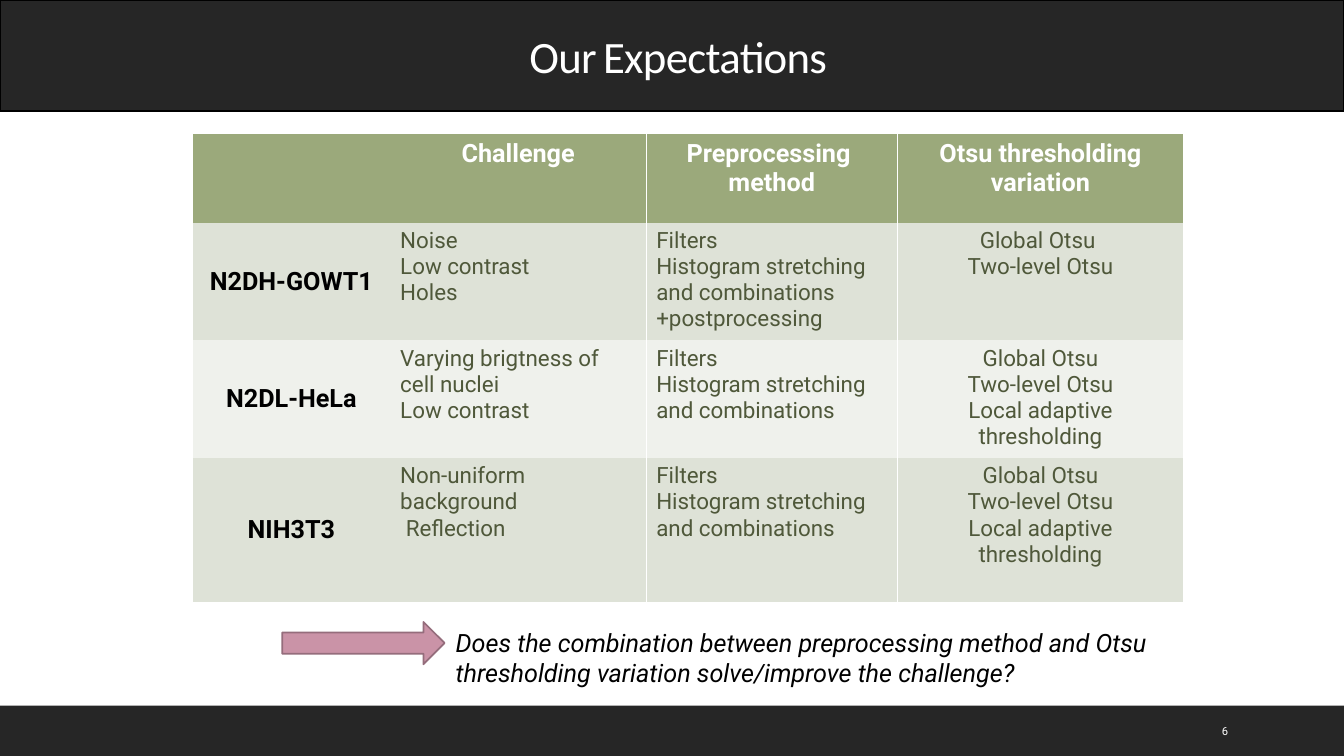
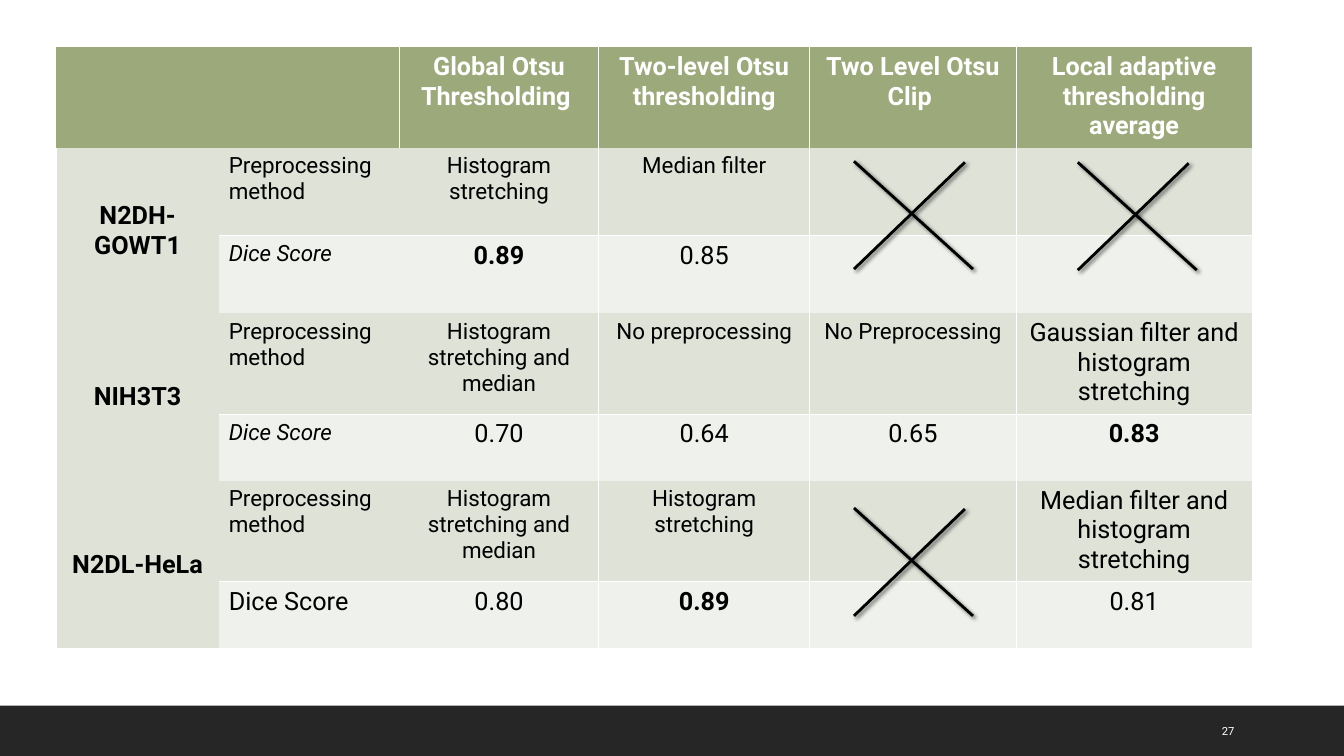
from lxml import etree
from pptx import Presentation
from pptx.dml.color import RGBColor
from pptx.enum.shapes import MSO_CONNECTOR, MSO_SHAPE
from pptx.enum.text import MSO_ANCHOR, MSO_AUTO_SIZE, PP_ALIGN
from pptx.oxml import parse_xml
from pptx.oxml.ns import nsdecls, qn
from pptx.util import Inches, Pt

LEFT, CENTER = PP_ALIGN.LEFT, PP_ALIGN.CENTER
TOP, MIDDLE = MSO_ANCHOR.TOP, MSO_ANCHOR.MIDDLE
RECTANGLE, RIGHT_ARROW = MSO_SHAPE.RECTANGLE, MSO_SHAPE.RIGHT_ARROW
WIDTH, HEIGHT = 13.33, 7.5
FONT, TITLE_FONT = "Roboto", "Calibri"
PLAIN_TABLE_STYLE = "{2D5ABB26-0587-4C30-8999-92F81FD0307C}"
COLORS = {
    "band": "262626", "white": "FFFFFF", "black": "000000",
    "header": "9BA97B", "dark_row": "DEE2D7", "light_row": "EFF1EC",
    "olive": "4F583A", "arrow": "CA93A7", "arrow_line": "956D7C",
}

# Content
QUESTION = ("Does the combination between preprocessing method and Otsu "
            "thresholding variation solve/improve the challenge?")
EXPECTATIONS = {
    "origin": (1.91, 1.33),
    "columns": [1.96, 2.54, 2.49, 2.84],
    "rows": [0.88, 1.16, 1.17, 1.43],
    "cells": [
        ["", "Challenge", "Preprocessing \nmethod", "Otsu thresholding variation"],
        ["N2DH-GOWT1", "Noise\nLow contrast\nHoles",
         "Filters\nHistogram stretching and combinations\n+postprocessing",
         "Global Otsu \nTwo-level Otsu"],
        ["N2DL-HeLa", "Varying brigtness of cell nuclei\nLow contrast",
         "Filters\nHistogram stretching and combinations",
         "Global Otsu\nTwo-level Otsu\nLocal adaptive thresholding"],
        ["NIH3T3", "Non-uniform background\n Reflection",
         "Filters\nHistogram stretching and combinations",
         "Global Otsu\nTwo-level Otsu\nLocal adaptive thresholding"],
    ],
}
METHOD, SCORE = "Preprocessing method", "Dice Score"
RESULTS = {
    "origin": (0.56, 0.47),
    "columns": [1.61, 1.79, 1.98, 2.09, 2.05, 2.34],
    "rows": [0.97, 0.87, 0.77, 0.99, 0.66, 0.99, 0.66],
    "cells": [
        ["", "", "Global Otsu Thresholding ", "Two-level Otsu thresholding",
         "Two Level Otsu Clip ", "Local adaptive thresholding average"],
        ["N2DH-GOWT1", METHOD, "Histogram stretching", "Median filter", "", ""],
        ["", SCORE, "0.89", "0.85", "", ""],
        ["NIH3T3", METHOD, "Histogram stretching and median", "No preprocessing",
         "No Preprocessing", "Gaussian filter and histogram stretching"],
        ["", SCORE, "0.70", "0.64", "0.65", "0.83"],
        ["N2DL-HeLa", METHOD, "Histogram stretching and median",
         "Histogram stretching", "", "Median filter and histogram stretching"],
        ["", SCORE, "0.80", "0.89", "", "0.81"],
    ],
}
CROSSES = [(8.47, 1.6), (8.47, 5.04), (10.69, 1.61)]


def rgb(name):
    return RGBColor.from_string(COLORS[name])


def format_run(run, size=16, color="black", bold=False, italic=False,
               font=FONT, spacing=0):
    run.font.size, run.font.name = Pt(size), font
    run.font.bold, run.font.italic = bold, italic
    run.font.color.rgb = rgb(color)
    if spacing:
        run.font._element.set("spc", str(int(spacing * 100)))


def write(frame, text, align=LEFT, **style):
    """Fill a text frame, one paragraph for each line of text."""
    for index, line in enumerate(text.split("\n")):
        paragraph = frame.add_paragraph() if index else frame.paragraphs[0]
        paragraph.alignment = align
        run = paragraph.add_run()
        run.text = line
        format_run(run, **style)


def add_block(slide, box, fill, line=None, kind=RECTANGLE):
    shape = slide.shapes.add_shape(kind, *map(Inches, box))
    shape.shadow.inherit = False
    shape.fill.solid()
    shape.fill.fore_color.rgb = rgb(fill)
    if line:
        shape.line.color.rgb = rgb(line)
        shape.line.width = Pt(1.25)
    else:
        shape.line.fill.background()
    return shape


def add_text(slide, box, text, anchor=TOP, **style):
    frame = slide.shapes.add_textbox(*map(Inches, box)).text_frame
    frame.word_wrap = True
    frame.vertical_anchor = anchor
    write(frame, text, **style)


def add_title(slide, words):
    band = add_block(slide, (0, 0, WIDTH, 1.1), "band", "black")
    title = slide.shapes.title
    title.element.addprevious(band.element)
    title.left, title.top, title.width, title.height = map(
        Inches, (5.15, 0.23, 5.83, 0.64))
    frame = title.text_frame
    frame.auto_size, frame.vertical_anchor = MSO_AUTO_SIZE.NONE, TOP
    paragraph = frame.paragraphs[0]
    paragraph.alignment = LEFT
    for index, word in enumerate(words):
        if index:
            gap = paragraph.add_run()
            gap.text = " "
            format_run(gap, size=18)
        run = paragraph.add_run()
        run.text = word
        format_run(run, size=32, color="white", font=TITLE_FONT, spacing=-0.5)


def set_borders(cell, sides):
    """Draw white hairlines on the given sides, from the letters L, R, T, B."""
    properties = cell._tc.get_or_add_tcPr()
    for side in "LRTB":
        line = etree.SubElement(properties, qn(f"a:ln{side}"), w=str(Pt(1)))
        if side in sides:
            fill = etree.SubElement(line, qn("a:solidFill"))
            etree.SubElement(fill, qn("a:srgbClr"), val=COLORS["white"])
        else:
            etree.SubElement(line, qn("a:noFill"))


def add_grid(slide, data, describe):
    """Add a table; describe(row, column, text) gives fill, borders, anchor, style."""
    columns, rows = data["columns"], data["rows"]
    box = (*data["origin"], sum(columns), sum(rows))
    table = slide.shapes.add_table(len(rows), len(columns), *map(Inches, box)).table
    table._tbl.tblPr.find(qn("a:tableStyleId")).text = PLAIN_TABLE_STYLE
    for column, width in zip(table.columns, columns):
        column.width = Inches(width)
    for row, height in zip(table.rows, rows):
        row.height = Inches(height)
    for r, texts in enumerate(data["cells"]):
        for c, text in enumerate(texts):
            cell = table.cell(r, c)
            fill, borders, anchor, style = describe(r, c, text)
            set_borders(cell, borders)
            cell.fill.solid()
            cell.fill.fore_color.rgb = rgb(fill)
            cell.vertical_anchor = anchor
            if text:
                write(cell.text_frame, text, **style)
    return table


def row_fill(row):
    return "header" if row == 0 else "dark_row" if row % 2 else "light_row"


def describe_expectation(row, column, text):
    borders = "LR" if column > 1 else "R" if column else "L"
    style = {"align": LEFT if column in (1, 2) else CENTER, "color": "olive"}
    if row == 0:
        style = {"align": CENTER, "size": 18, "bold": True, "color": "white"}
    elif column == 0:
        style.update(size=18, bold=True, color="black")
    return row_fill(row), borders, MIDDLE if row and column == 0 else TOP, style


def describe_result(row, column, text):
    is_score = row > 0 and row % 2 == 0
    last_row, last_column = len(RESULTS["rows"]) - 1, len(RESULTS["columns"]) - 1
    borders = "R" if column > 1 or (row == 0 and column == 1) else ""
    if column > 2 or (row == 0 and column == 2):
        borders += "L"
    if row and column:
        borders += "T" if is_score else "B"
    style = {"align": LEFT if column == 1 else CENTER}
    if row == 0:
        style.update(size=18, bold=True, color="white")
    elif column == 0:
        return "dark_row", "L", MIDDLE, dict(style, size=18, bold=True)
    elif column == 1:
        plain = row == last_row
        style.update(size=18 if plain else 16, italic=is_score and not plain)
    elif is_score:
        best = max(RESULTS["cells"][row][2:])
        style.update(size=18, bold=text == best)
    elif column == last_column:
        style["size"] = 18
    return row_fill(row), borders, TOP, style


def add_cross(slide, left, top):
    group = slide.shapes.add_group_shape()
    strokes = [(left, top, left + 1.18, top + 1.07),
               (left + 1.1, top + 0.01, left, top + 1.07)]
    for ends in strokes:
        line = group.shapes.add_connector(MSO_CONNECTOR.STRAIGHT, *map(Inches, ends))
        line.line.color.rgb = rgb("black")
        line.line.width = Pt(2)
        line.element.spPr.append(parse_xml(
            f'<a:effectLst {nsdecls("a")}><a:outerShdw blurRad="{Pt(3)}" '
            f'dist="{Pt(2)}" dir="2700000"><a:srgbClr val="{COLORS["black"]}">'
            '<a:alpha val="60000"/></a:srgbClr></a:outerShdw></a:effectLst>'))


def add_numbered_slide(presentation, layout, number):
    slide = presentation.slides.add_slide(presentation.slide_layouts[layout])
    add_text(slide, (12.02, 7.05, 0.85, 0.4), number, anchor=MIDDLE,
             size=8, color="white")
    return slide


def add_master_footer(presentation, slide):
    """Move a footer band to the slide master, behind everything else."""
    footer = add_block(slide, (0, 7, WIDTH, 0.5), "band")
    footer.element.nvSpPr.cNvPr.set("id", "50")
    presentation.slide_master.shapes.element.insert(2, footer.element)


def main():
    presentation = Presentation()
    presentation.slide_width, presentation.slide_height = Inches(WIDTH), Inches(HEIGHT)

    # Expectations
    slide = add_numbered_slide(presentation, 5, "6")
    add_master_footer(presentation, slide)
    add_title(slide, ["Our", "Expectations"])
    add_grid(slide, EXPECTATIONS, describe_expectation)
    add_text(slide, (4.42, 6.17, 7.61, 0.71), QUESTION, size=18, italic=True)
    add_block(slide, (2.8, 6.17, 1.61, 0.42), "arrow", "arrow_line", RIGHT_ARROW)

    # Results
    slide = add_numbered_slide(presentation, 6, "27")
    table = add_grid(slide, RESULTS, describe_result)
    for row in range(1, len(RESULTS["rows"]), 2):
        table.cell(row, 0).merge(table.cell(row + 1, 0))
    for left, top in CROSSES:
        add_cross(slide, left, top)

    presentation.save("out.pptx")


if __name__ == "__main__":
    main()
